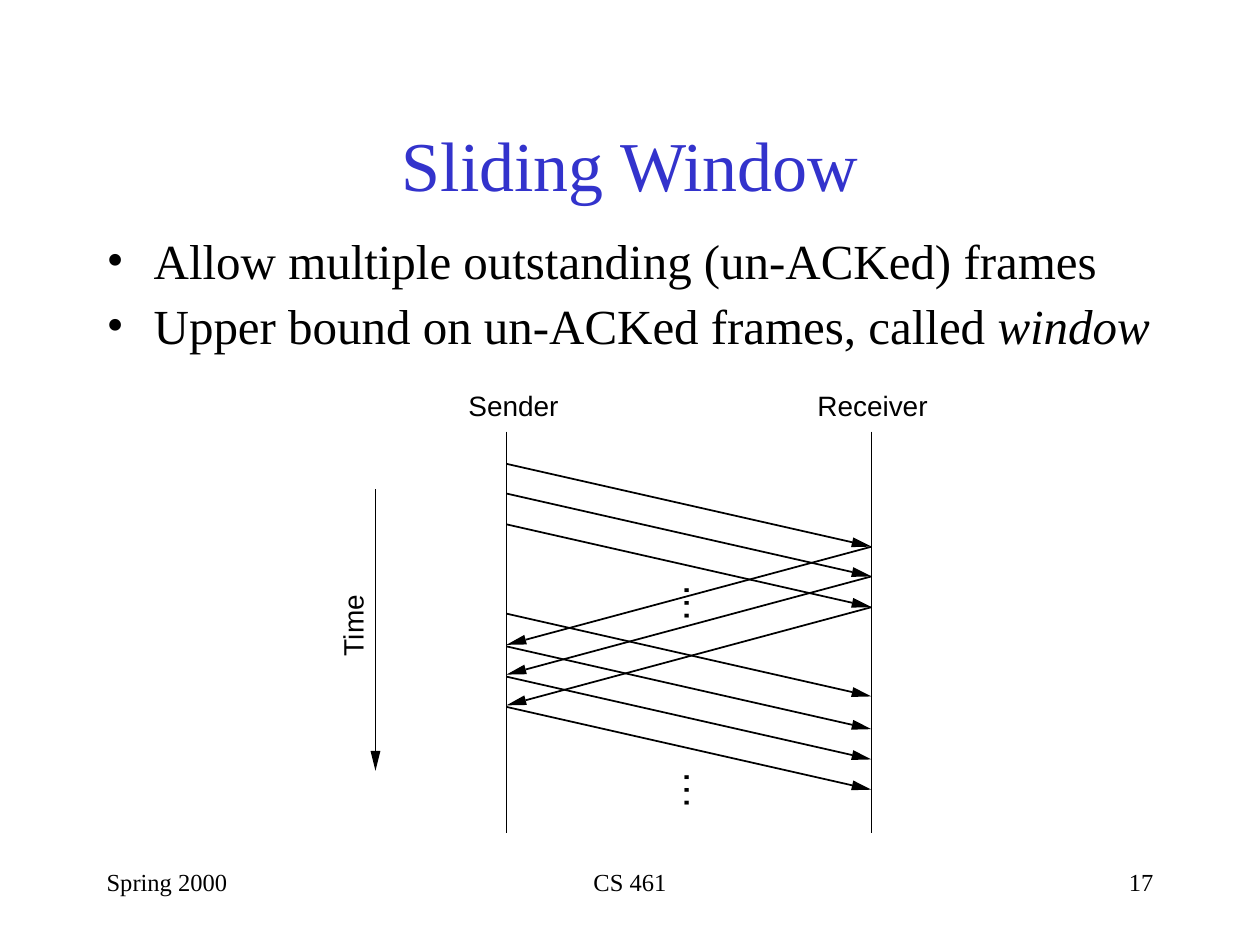
from math import hypot

from lxml.etree import SubElement
from pptx import Presentation
from pptx.dml.color import RGBColor
from pptx.enum.shapes import MSO_CONNECTOR as Connector
from pptx.enum.text import MSO_ANCHOR as Anchor, MSO_AUTO_SIZE as AutoSize, PP_ALIGN as Align
from pptx.oxml.ns import qn
from pptx.util import Cm, Pt

BLACK = RGBColor(0x00, 0x00, 0x00)
BLUE = RGBColor(0x33, 0x33, 0xCC)
SERIF = "Times New Roman"
SANS = "Arial"

TITLE_BOX = (1.9, 1.7, 21.6, 3.18)
BULLET_BOX = (1.9, 4.65, 21.6, 11.43)
DIAGRAM_BOX = (6.6, 7.8, 12.2, 9.1)
FOOTER_BOX = (1.9, 17.35, 21.6, 1.27)

SENDER_X, RECEIVER_X = 3.61, 10.97
LIFELINE_TOP, LIFELINE_BOTTOM = 0.9, 9.0
FRAME_STARTS = (1.55, 2.15, 2.77, 4.57, 5.23, 5.84, 6.45)
ACKED_FRAMES = 3
FRAME_DROP, ACK_DROP = 1.67, 1.98
HEAD_LENGTH, HEAD_HALF_WIDTH = 0.4, 0.1


def set_values(target, values):
    for name, value in values.items():
        setattr(target, name, value)


def format_font(font, name, size, color=BLACK):
    set_values(font, {"name": name, "size": Pt(size)})
    font.color.rgb = color


def add_text(slide, box, text, name, size, align=Align.LEFT):
    shape = slide.shapes.add_textbox(*map(Cm, box))
    shape.text_frame.word_wrap = True
    paragraph = shape.text_frame.paragraphs[0]
    paragraph.alignment = align
    run = paragraph.add_run()
    run.text = text
    format_font(run.font, name, size)
    return shape


def add_label(slide, center, size, text, font_size, rotation=0):
    (x, y), (width, height) = center, size
    box = (x - width / 2, y - height / 2, width, height)
    shape = add_text(slide, box, text, SANS, font_size)
    shape.rotation = rotation
    set_values(shape.text_frame, {
        "margin_left": 0, "margin_right": 0, "margin_top": 0, "margin_bottom": 0,
        "word_wrap": False, "auto_size": AutoSize.SHAPE_TO_FIT_TEXT,
    })


def add_line(slide, start, end):
    line = slide.shapes.add_connector(Connector.STRAIGHT, *map(Cm, (*start, *end)))
    line.line.width = Pt(1)
    line.line.color.rgb = BLACK
    SubElement(line._element.spPr, qn("a:effectLst"))


def add_arrow(slide, start, tip):
    run, rise = tip[0] - start[0], tip[1] - start[1]
    length = hypot(run, rise)
    along_x, along_y = run / length, rise / length
    base_x, base_y = tip[0] - HEAD_LENGTH * along_x, tip[1] - HEAD_LENGTH * along_y
    add_line(slide, start, (base_x, base_y))

    corners = [(Cm(base_x - side * along_y), Cm(base_y + side * along_x))
               for side in (HEAD_HALF_WIDTH, -HEAD_HALF_WIDTH)]
    builder = slide.shapes.build_freeform(Cm(tip[0]), Cm(tip[1]))
    builder.add_line_segments(corners, close=True)
    head = builder.convert_to_shape()
    head.shadow.inherit = False
    head.fill.solid()
    head.fill.fore_color.rgb = BLACK
    head.line.fill.background()


def add_title(slide, box):
    title = slide.shapes.title
    set_values(title, dict(zip(("left", "top", "width", "height"), map(Cm, box))))
    title.text_frame.text = "Sliding Window"
    title.text_frame.vertical_anchor = Anchor.MIDDLE
    paragraph = title.text_frame.paragraphs[0]
    paragraph.alignment = Align.CENTER
    format_font(paragraph.runs[0].font, SERIF, 40, BLUE)


def add_bullets(slide, box):
    bullets = (
        (("Allow multiple outstanding (un-ACKed) frames", False),),
        (("Upper bound on un-ACKed frames, called ", False), ("window", True)),
    )
    frame = slide.shapes.add_textbox(*map(Cm, box)).text_frame
    frame.word_wrap = True
    for index, parts in enumerate(bullets):
        paragraph = frame.add_paragraph() if index else frame.paragraphs[0]
        set_values(paragraph, {"line_spacing": 0.9, "space_before": Pt(7)})
        properties = paragraph._p.get_or_add_pPr()
        properties.set("marL", str(Cm(0.95)))
        properties.set("indent", str(-Cm(0.95)))
        SubElement(properties, qn("a:buFont"), typeface=SERIF)
        SubElement(properties, qn("a:buChar"), char="•")
        for text, italic in parts:
            run = paragraph.add_run()
            run.text = text
            format_font(run.font, SERIF, 28)
            if italic:
                run.font.italic = True


def add_timeline(slide, box):
    left, top = box[:2]

    def at(x, y):
        return left + x, top + y

    add_label(slide, at(3.76, 0.37), (1.83, 0.69), "Sender", 16)
    add_label(slide, at(11, 0.37), (2.24, 0.69), "Receiver", 16)
    add_label(slide, at(0.51, 4.8), (1.25, 0.69), "Time", 16, 270)
    add_arrow(slide, at(0.97, 2.06), at(0.97, 7.74))

    for x in (SENDER_X, RECEIVER_X):
        add_line(slide, at(x, LIFELINE_TOP), at(x, LIFELINE_BOTTOM))
    for index, start in enumerate(FRAME_STARTS):
        arrival = start + FRAME_DROP
        add_arrow(slide, at(SENDER_X, start), at(RECEIVER_X, arrival))
        if index < ACKED_FRAMES:
            add_arrow(slide, at(RECEIVER_X, arrival), at(SENDER_X, arrival + ACK_DROP))

    for y in (4.37, 8.13):
        add_label(slide, at(6.96, y), (0.81, 0.97), "…", 23, 270)


def add_footer(slide, box):
    left, top, width, height = box
    side, middle = 5.3, 8.05
    for x, part_width, text, align in (
        (left, side, "Spring 2000", Align.LEFT),
        (left + (width - middle) / 2, middle, "CS 461", Align.CENTER),
        (left + width - side, side, "17", Align.RIGHT),
    ):
        add_text(slide, (x, top, part_width, height), text, SERIF, 14, align)


def main():
    presentation = Presentation()
    set_values(presentation, {"slide_width": Cm(25.4), "slide_height": Cm(19.05)})
    slide = presentation.slides.add_slide(presentation.slide_layouts[5])
    add_title(slide, TITLE_BOX)
    add_bullets(slide, BULLET_BOX)
    add_timeline(slide, DIAGRAM_BOX)
    add_footer(slide, FOOTER_BOX)
    presentation.save("out.pptx")


if __name__ == "__main__":
    main()
